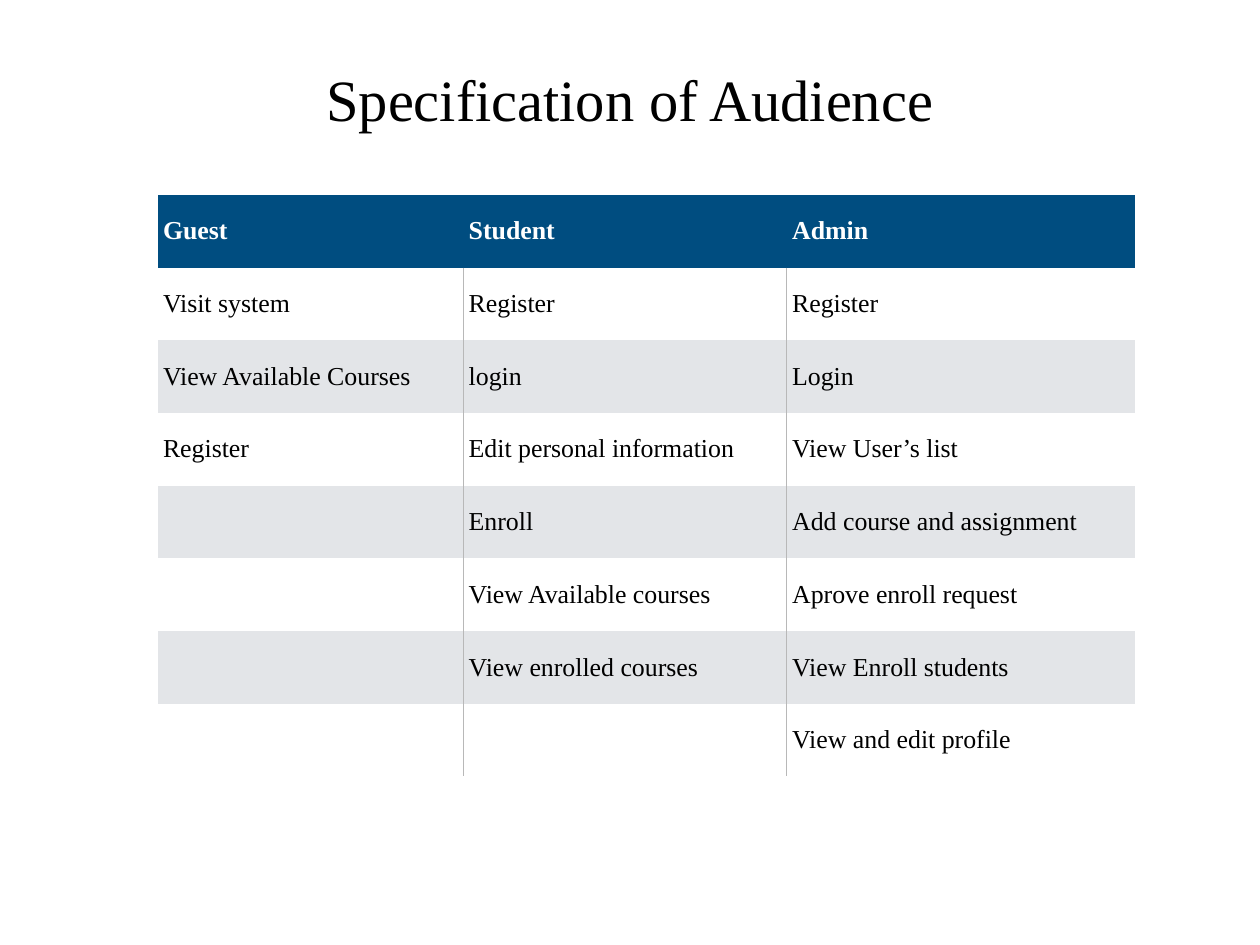
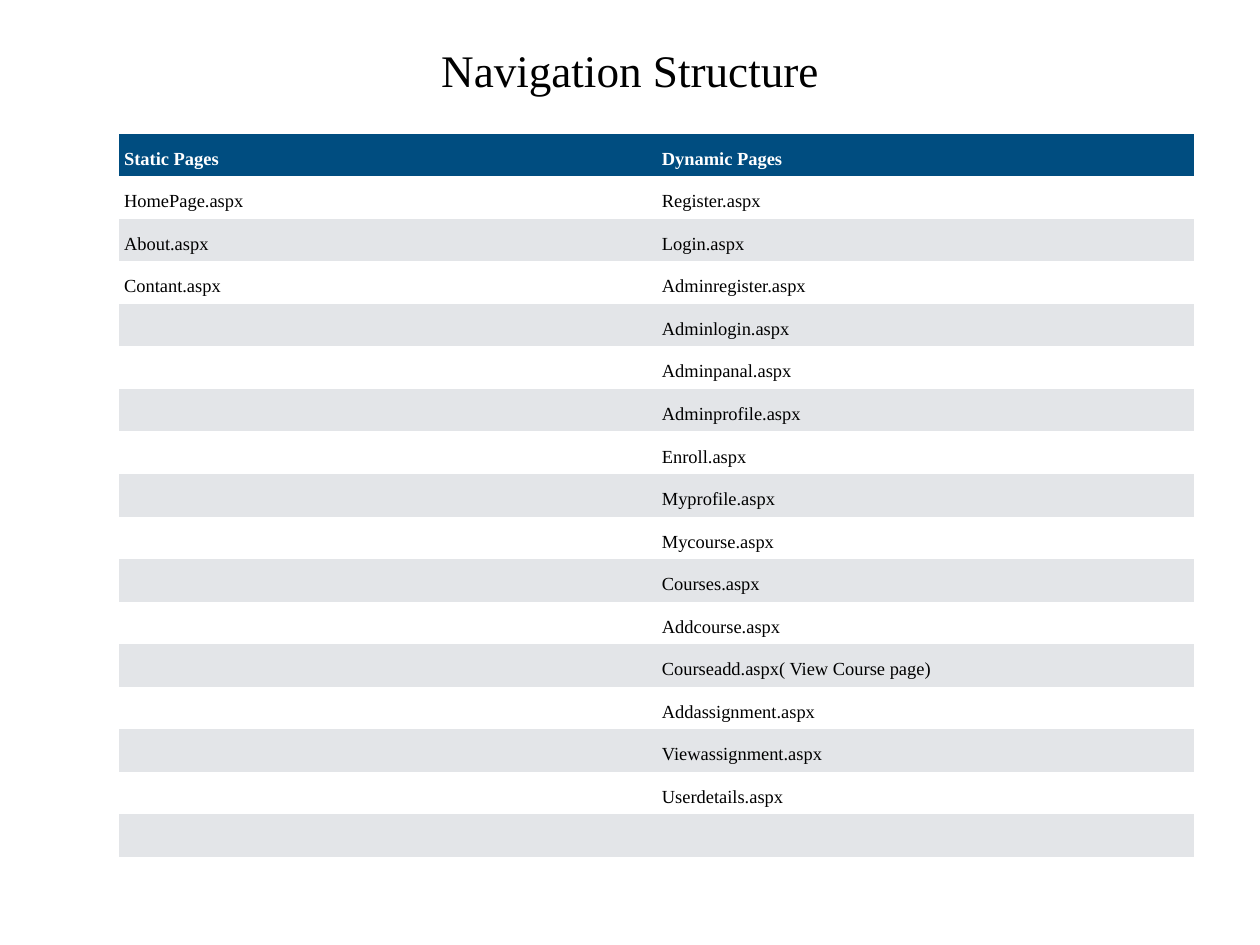
"""Build two table slides: the audience specification and the navigation structure."""
from lxml import etree
from pptx import Presentation
from pptx import util as u
from pptx.dml.color import RGBColor
from pptx.enum import text
from pptx.oxml.ns import qn

COLORS = {"header": "004D80", "plain": "FFFFFF", "band": "E3E5E8",
          "rule": "B8B8B8", "ink": "000000", "header_ink": "FFFFFF"}
FONT = "Times New Roman"
INSET = 0.06
TITLE_LEFT, TITLE_WIDTH = 1.39, 11.44
NO_STYLE = "{2D5ABB26-0587-4C30-8999-92F81FD0307C}"

SLIDES = [
    {
        "title": "Specification of Audience",
        "title_top": 0.61, "title_height": 0.95, "title_size": 47.5,
        "left": 1.78, "top": 2.2, "height": 6.57, "rows": 8,
        "widths": [3.45, 3.65, 3.93],
        "size": 21, "spacing": None, "ruled": True,
        "columns": [
            ["Guest", "Visit system", "View Available Courses", "Register"],
            ["Student", "Register", "login", "Edit personal information", "Enroll",
             "View Available courses", "View enrolled courses"],
            ["Admin", "Register", "Login", "View User’s list", "Add course and assignment",
             "Aprove enroll request", "View Enroll students", "View and edit profile"],
        ],
    },
    {
        "title": "Navigation Structure",
        "title_top": 0.37, "title_height": 0.78, "title_size": 36.7,
        "left": 1.34, "top": 1.51, "height": 8.17, "rows": 17,
        "widths": [6.07, 6.07],
        "size": 15, "spacing": 1.4, "ruled": False,
        "columns": [
            ["Static Pages", "HomePage.aspx", "About.aspx", "Contant.aspx"],
            ["Dynamic Pages", "Register.aspx", "Login.aspx", "Adminregister.aspx",
             "Adminlogin.aspx", "Adminpanal.aspx", "Adminprofile.aspx", "Enroll.aspx",
             "Myprofile.aspx", "Mycourse.aspx", "Courses.aspx", "Addcourse.aspx",
             "Courseadd.aspx( View Course page)", "Addassignment.aspx",
             "Viewassignment.aspx", "Userdetails.aspx"],
        ],
    },
]


def write(frame, words, size, color="ink", bold=False, align=None, spacing=None):
    """Put one formatted line of text in a frame."""
    para = frame.paragraphs[0]
    para.alignment = align
    para.line_spacing = spacing
    span = para.add_run()
    span.text = words
    span.font.name = FONT
    span.font.size = u.Pt(size)
    span.font.bold = bold
    span.font.color.rgb = RGBColor.from_string(COLORS[color])


def set_margins(holder):
    """Give a frame or cell the shared inset on all four sides."""
    for side in ("left", "top", "right", "bottom"):
        setattr(holder, f"margin_{side}", u.Inches(INSET))


def add_rule(cell, side):
    """Draw a thin rule on one side of a cell."""
    properties = cell._tc.get_or_add_tcPr()
    line = etree.SubElement(properties, qn(f"a:ln{side}"), w=str(u.Pt(1)))
    fill = etree.SubElement(line, qn("a:solidFill"))
    etree.SubElement(fill, qn("a:srgbClr"), val=COLORS["rule"])


def add_title(page, content):
    """Place and format the title placeholder."""
    box = page.shapes.title
    box.left, box.top = u.Inches(TITLE_LEFT), u.Inches(content["title_top"])
    box.width, box.height = u.Inches(TITLE_WIDTH), u.Inches(content["title_height"])
    frame = box.text_frame
    set_margins(frame)
    frame.word_wrap = True
    frame.auto_size = text.MSO_AUTO_SIZE.NONE
    frame.vertical_anchor = text.MSO_ANCHOR.BOTTOM
    write(frame, content["title"], content["title_size"], align=text.PP_ALIGN.CENTER)


def add_banded_table(page, content):
    """Add the table with its header row, bands and column rules."""
    columns, widths, count = content["columns"], content["widths"], content["rows"]
    table = page.shapes.add_table(
        count, len(columns), u.Inches(content["left"]), u.Inches(content["top"]),
        u.Inches(sum(widths)), u.Inches(content["height"])).table
    table._tbl.tblPr.find(qn("a:tableStyleId")).text = NO_STYLE
    for row in table.rows:
        row.height = u.Inches(content["height"] / count)
    for c, (entries, width) in enumerate(zip(columns, widths)):
        table.columns[c].width = u.Inches(width)
        for r in range(count):
            cell, header = table.cell(r, c), r == 0
            set_margins(cell)
            cell.vertical_anchor = text.MSO_ANCHOR.MIDDLE
            if content["ruled"] and not header:
                if c > 0:
                    add_rule(cell, "L")
                if c < len(columns) - 1:
                    add_rule(cell, "R")
            shade = "header" if header else ("band", "plain")[r % 2]
            cell.fill.solid()
            cell.fill.fore_color.rgb = RGBColor.from_string(COLORS[shade])
            if r < len(entries):
                write(cell.text_frame, entries[r], content["size"], bold=header,
                      color="header_ink" if header else "ink", spacing=content["spacing"])


def main():
    """Build and save the deck."""
    deck = Presentation()
    deck.slide_width, deck.slide_height = u.Inches(14.22), u.Inches(10.67)
    for content in SLIDES:
        page = deck.slides.add_slide(deck.slide_layouts.get_by_name("Title Only"))
        add_title(page, content)
        add_banded_table(page, content)
    deck.save("out.pptx")


if __name__ == "__main__":
    main()
